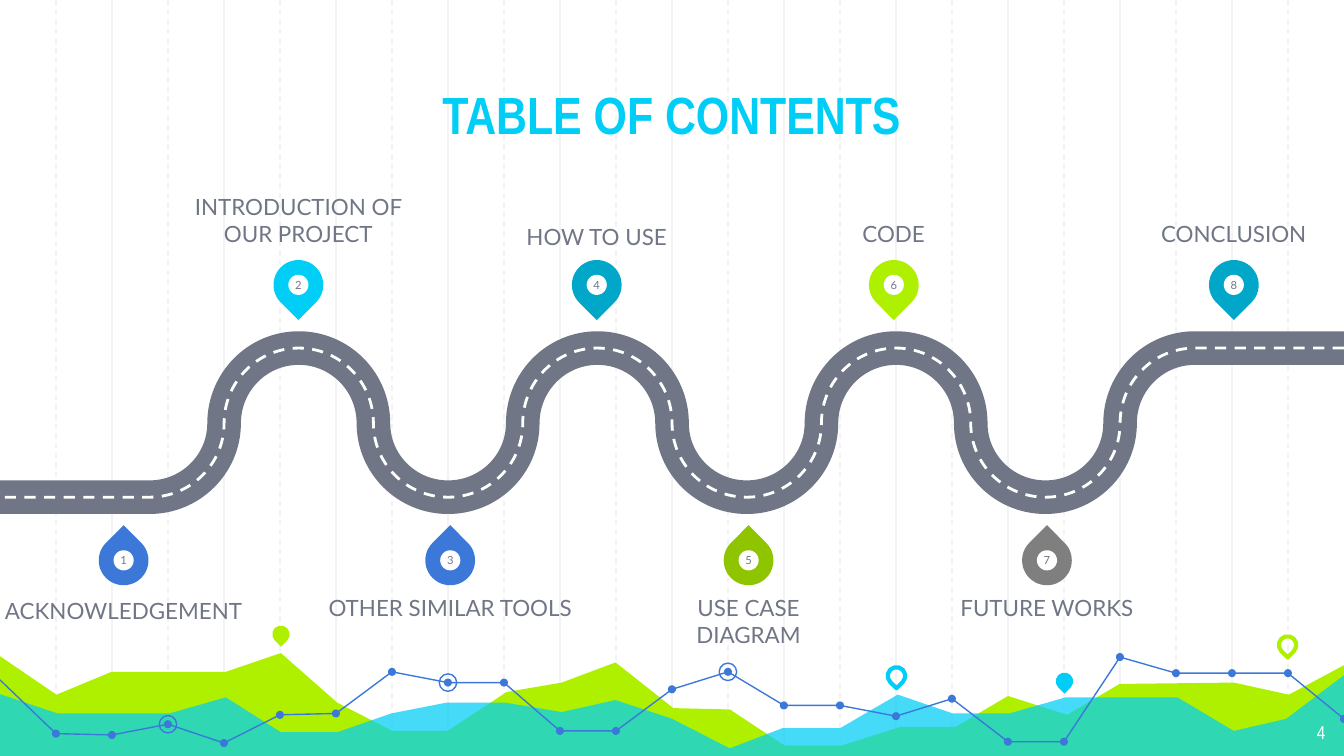
from dataclasses import dataclass
from itertools import cycle, islice
from lxml import etree
from pptx import Presentation
from pptx.dml.color import RGBColor
from pptx.enum.dml import MSO_LINE
from pptx.enum.shapes import MSO_CONNECTOR, MSO_SHAPE
from pptx.enum.text import MSO_ANCHOR, PP_ALIGN
from pptx.oxml.ns import qn
from pptx.util import Cm, Length, Pt

DASH, STRAIGHT = MSO_LINE.DASH, MSO_CONNECTOR.STRAIGHT
DROP, OVAL = MSO_SHAPE.TEAR, MSO_SHAPE.OVAL
TOP, MIDDLE, BOTTOM = MSO_ANCHOR.TOP, MSO_ANCHOR.MIDDLE, MSO_ANCHOR.BOTTOM
CENTER, RIGHT = PP_ALIGN.CENTER, PP_ALIGN.RIGHT

WHITE = RGBColor(0xFF, 0xFF, 0xFF)
PALE = RGBColor(0xF3, 0xF3, 0xF3)
SLATE = RGBColor(0x70, 0x76, 0x85)
GRAY = RGBColor(0x7F, 0x7F, 0x7F)
CYAN = RGBColor(0x00, 0xCE, 0xF6)
TEAL = RGBColor(0x00, 0xA7, 0xC8)
LIME = RGBColor(0xAF, 0xF0, 0x00)
GREEN = RGBColor(0x8E, 0xC4, 0x00)
BLUE = RGBColor(0x3C, 0x78, 0xD8)
HEAD, BODY = "Arial Narrow", "Lato"
STEP = 10 / 24
BEND = 5 / 9
CURVE = 0.5523

Point = tuple[float, float]


@dataclass
class Run:
    text: str
    size: float = 12
    font: str = BODY
    color: RGBColor = SLATE
    bold: bool = False


@dataclass
class Stop:
    mid: float
    color: RGBColor
    runs: list[Run]
    top: float
    wide: float = 1.41


@dataclass
class Pin:
    x: float
    y: float
    color: RGBColor
    solid: bool


STOPS = [
    Stop(0.92, BLUE, [Run("ACKNOWLEDGEMENT")], 4.44, 2.22),
    Stop(2.22, CYAN, [Run("INTRODUCTION OF OUR PROJECT")], 1.26, 1.91),
    Stop(3.35, BLUE, [Run("OTHER SIMILAR TOOLS")], 4.42, 2.22),
    Stop(4.44, TEAL, [Run("HOW"), Run(" ", 10), Run("TO USE")], 1.28),
    Stop(5.57, GREEN, [Run("USE CASE DIAGRAM")], 4.42),
    Stop(6.65, LIME, [Run("CODE")], 1.26),
    Stop(7.79, GRAY, [Run("FUTURE WORKS")], 4.42),
    Stop(9.18, TEAL, [Run("CONCLUSION")], 1.26),
]
PINS = [Pin(2.09, 4.72, LIME, True), Pin(6.67, 5.03, CYAN, False),
        Pin(7.92, 5.07, CYAN, True), Pin(9.58, 4.8, LIME, False)]
BACK = [(-0.02, 4.87), (0.42, 5.17), (0.83, 5), (1.68, 5), (2.09, 4.86), (2.51, 5.23),
        (2.92, 5.44), (3.33, 5.44), (3.77, 5.15), (4.18, 5.08), (4.58, 4.93),
        (5.01, 5.27), (5.43, 5.28), (5.84, 5.55), (6.26, 5.55), (6.7, 5.41),
        (7.11, 5.41), (7.5, 5.18), (7.94, 5.32), (8.33, 5.09), (9.18, 5.08),
        (9.59, 5.17), (10.02, 4.94), (10.01, 5.64), (-0.03, 5.64)]
FRONT = [(-0.02, 5.16), (0.43, 5.31), (1.26, 5.31), (1.68, 5.19), (2.09, 5.45),
         (2.51, 5.45), (2.91, 5.31), (3.32, 5.23), (3.76, 5.23), (4.18, 5.3),
         (4.58, 5.21), (5, 5.35), (5.43, 5.57), (5.82, 5.42), (6.25, 5.42),
         (6.68, 5.17), (7.09, 5.31), (7.51, 5.31), (7.93, 5.19), (8.76, 5.19),
         (9.18, 5.44), (9.57, 5.35), (10.02, 5.01), (10.02, 5.65), (-0.03, 5.65)]
TREND = [5.06, 5.46, 5.47, 5.39, 5.53, 5.32, 5.31, 5, 5.08, 5.08, 5.44, 5.44, 5.13,
         5, 5.25, 5.25, 5.33, 5.2, 5.52, 5.52, 4.89, 5.01, 5.01, 5.01, 5.35]


def inch(size: float) -> Length:
    return Cm(size * 2.54)


def paint(shape, fill: RGBColor | None, line: RGBColor | None = None, width: float = 0.75) -> None:
    shape.shadow.inherit = False
    if fill is None:
        shape.fill.background()
    else:
        shape.fill.solid()
        shape.fill.fore_color.rgb = fill
    if line is None:
        shape.line.fill.background()
    else:
        shape.line.color.rgb = line
        shape.line.width = Pt(width)


def trace(shapes, points: list[Point], close: bool = False):
    spots = [(inch(x), inch(y)) for x, y in points]
    pen = shapes.build_freeform(*spots[0], scale=1.0)
    pen.add_line_segments(spots[1:], close=close)
    return pen.convert_to_shape()


def mark(shapes, kind, x: float, y: float, size: float, turn: float = 0):
    shape = shapes.add_shape(kind, inch(x - size / 2), inch(y - size / 2), inch(size), inch(size))
    shape.rotation = turn
    return shape


def write(shape, runs: list[Run], align, anchor, pad: float = 0) -> None:
    frame = shape.text_frame
    frame.word_wrap = True
    frame.vertical_anchor = anchor
    frame.margin_left = frame.margin_right = inch(pad)
    frame.margin_top = frame.margin_bottom = inch(pad)
    para = frame.paragraphs[0]
    para.alignment = align
    for item in runs:
        run = para.add_run()
        run.text = item.text
        run.font.size = Pt(item.size)
        run.font.name = item.font
        run.font.bold = item.bold
        run.font.color.rgb = item.color


def label(shapes, x: float, y: float, w: float, h: float, runs: list[Run],
          align=CENTER, anchor=TOP, pad: float = 0) -> None:
    box = shapes.add_textbox(inch(x), inch(y), inch(w), inch(h))
    write(box, runs, align, anchor, pad)


def draw_grid(shapes) -> None:
    for i in [*range(2, 24, 2), *range(1, 24, 2)]:
        line = shapes.add_connector(STRAIGHT, inch(i * STEP), 0, inch(i * STEP), inch(5.65))
        line.line.color.rgb = PALE
        line.line.width = Pt(0.75)
        if i % 2:
            line.line.dash_style = DASH
        etree.SubElement(line._element.spPr, qn("a:effectLst"))


def draw_chart(shapes) -> None:
    paint(trace(shapes, BACK, True), LIME)
    front = trace(shapes, FRONT, True)
    paint(front, CYAN)
    tint = front._element.spPr.find(qn("a:solidFill"))[0]
    etree.SubElement(tint, qn("a:alpha"), val="73000")
    for pin in PINS:
        drop = mark(shapes, DROP, pin.x, pin.y, 0.13, 135)
        paint(drop, pin.color if pin.solid else None, None if pin.solid else pin.color, 2.25)
    points = [(i * STEP, y) for i, y in enumerate(TREND)]
    for first, last in ((0, 11), (11, 20), (20, 24)):
        paint(trace(shapes, points[first:last + 1]), None, BLUE)
    for x, y in points[1:]:
        paint(mark(shapes, OVAL, x, y, 0.06), BLUE)
    for i in (3, 8, 13):
        paint(mark(shapes, OVAL, *points[i], 0.13), None, BLUE)


def draw_road(shapes, color: RGBColor, width: float):
    levels = islice(cycle((2.59, 3.15, 3.7, 3.15)), 15)
    turns = [(8.89 - i * BEND, y) for i, y in enumerate(levels)]
    road = trace(shapes, [(10, 2.59), *turns, (0, 3.7)])
    paint(road, None, color, width)
    steps = list(road._element.iter(qn("a:moveTo"), qn("a:lnTo")))
    spots = [(int(step[0].get("x")), int(step[0].get("y"))) for step in steps]
    for i in range(2, len(steps) - 1):
        (ax, ay), (bx, by) = spots[i - 1], spots[i]
        dx, dy = round((bx - ax) * CURVE), round((by - ay) * CURVE)
        if i % 2 == 0:
            bends = (ax + dx, ay), (bx, by - dy)
        else:
            bends = (ax, ay + dy), (bx - dx, by)
        steps[i].tag = qn("a:cubicBezTo")
        for j, (x, y) in enumerate(bends):
            steps[i].insert(j, etree.Element(qn("a:pt"), x=str(x), y=str(y)))
    return road


def draw_stop(shapes, stop: Stop, number: int) -> None:
    group = shapes.add_group_shape().shapes
    above = number % 2 == 0
    y = 2.12 if above else 4.17
    paint(mark(group, DROP, stop.mid, y, 0.37, 135 if above else 315), stop.color)
    badge = mark(group, OVAL, stop.mid, y, 0.15)
    paint(badge, WHITE)
    write(badge, [Run(str(number), 6)], CENTER, MIDDLE)
    label(group, stop.mid - stop.wide / 2, stop.top, stop.wide, 0.58, stop.runs,
          anchor=BOTTOM if above else TOP)


def main() -> None:
    deck = Presentation()
    deck.slide_width, deck.slide_height = Cm(25.4), Cm(14.29)
    shapes = deck.slides.add_slide(deck.slide_layouts[6]).shapes
    draw_grid(shapes)
    draw_chart(shapes)
    label(shapes, 1.17, 0.4, 7.65, 0.78, [Run("TABLE OF CONTENTS", 28, HEAD, CYAN, True)],
          anchor=BOTTOM, pad=0.1)
    label(shapes, 9.36, 5.28, 0.6, 0.35, [Run("4", 10, HEAD, WHITE)], RIGHT, pad=0.1)
    draw_road(shapes, SLATE, 18)
    draw_road(shapes, WHITE, 1.5).line.dash_style = DASH
    for number, stop in enumerate(STOPS, 1):
        draw_stop(shapes, stop, number)
    deck.save("out.pptx")


if __name__ == "__main__":
    main()
